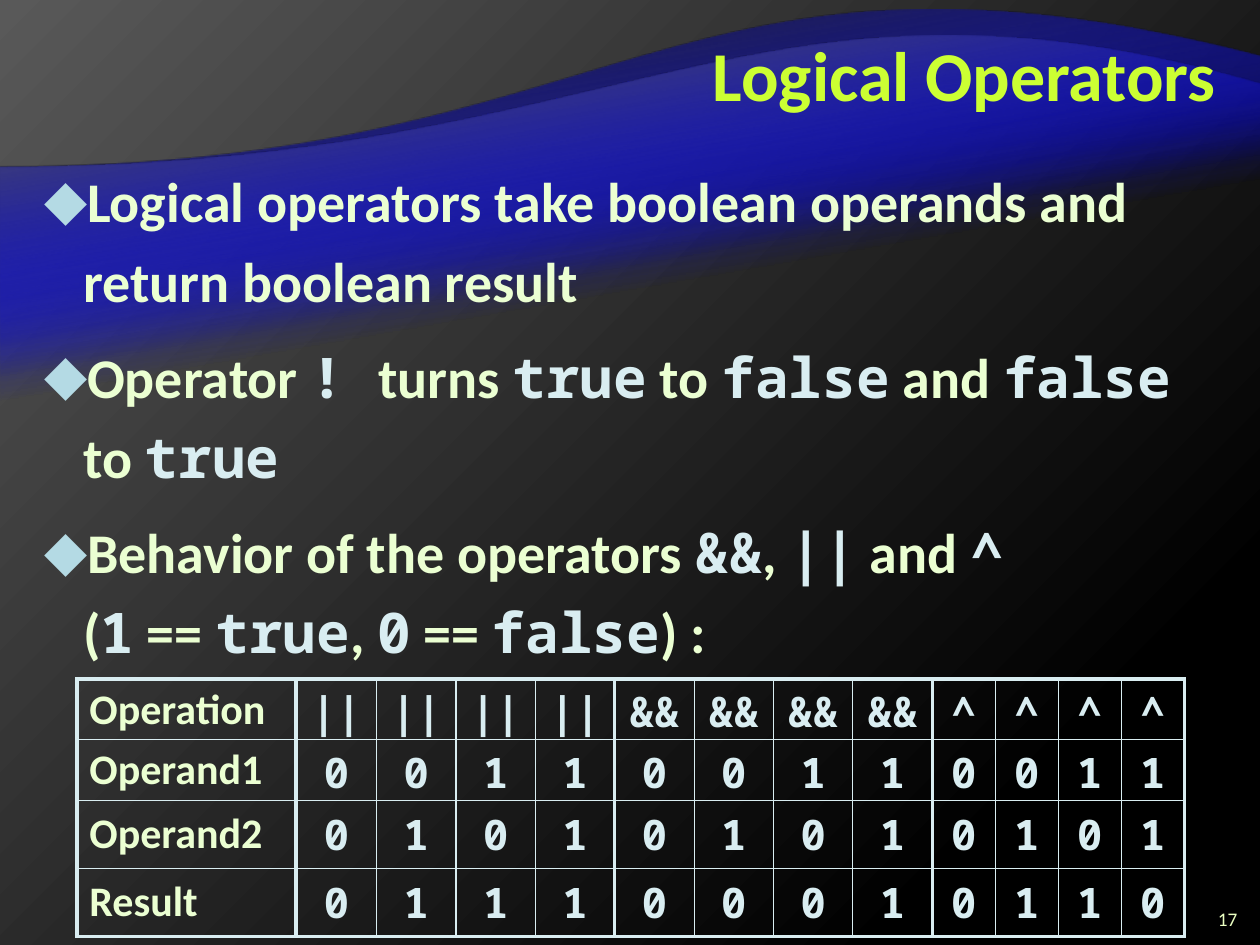
from lxml.etree import SubElement
from pptx import Presentation
from pptx.dml.color import RGBColor
from pptx.enum.text import MSO_ANCHOR as Anchor, MSO_AUTO_SIZE as AutoSize, PP_ALIGN as Align
from pptx.oxml import parse_xml
from pptx.oxml.ns import nsdecls, qn
from pptx.util import Inches, Pt

# Content: backticks enclose code, "\n" is a line break
TITLE = "Logical Operators"
BULLETS = [
    "Logical operators take boolean operands and return boolean result",
    "Operator `! `turns `true` to `false` and `false \n`to `true`",
    "Behavior of the operators `&&`, `||` and `^ \n`(`1` == `true`, `0` == `false`) :",
]
TRUTH_TABLE = [
    ("Operation", ["||"] * 4 + ["&&"] * 4 + ["^"] * 4),
    ("Operand1", "0011" * 3),
    ("Operand2", "0101" * 3),
    ("Result", "0111" + "0001" + "0110"),
]
PAGE_NUMBER = "17"

COLORS = {
    "title": "CCFF33", "text": "EBFFD2", "code": "D9EDF1", "bullet": "B4DAE4",
    "number": "EBFFC2", "border": "D9EDF1", "blue": "0000FF", "dark": "262626",
    "gray": "595959", "black": "000000",
}
TEXT_FONT, CODE_FONT = "Calibri", "Noto Sans Mono"

# Wave bands: left height, right height, bottom, two curve controls, end color
WAVE_LEFT = 1.33
BANDS = [
    (0.45, 6.53, (5, 1.33), (5.34, -0.75), "dark"),
    (0.67, 5.57, (5, 1.33), (5.98, -0.49), "gray"),
] * 2
COLUMN_WIDTHS = [1.74, 0.64] + [0.63] * 7 + [0.5] * 4
ROW_HEIGHTS = [0.4, 0.4, 0.54, 0.54]
GROUP_EDGES = {0, 1, 5, 9, 13}


def set_font(font, size, color, name=TEXT_FONT, bold=True):
    font.name, font.size, font.bold = name, Pt(size), bold
    font.color.rgb = RGBColor.from_string(COLORS[color])


def gradient(stops, direction):
    """Gradient fill from (percent, color, alpha percent) stops."""
    marks = "".join(
        f'<a:gs pos="{position * 1000}"><a:srgbClr val="{COLORS[color]}">'
        f'<a:alpha val="{alpha * 1000}"/></a:srgbClr></a:gs>'
        for position, color, alpha in stops)
    return parse_xml(f'<a:gradFill {nsdecls("a")} rotWithShape="1">'
                     f'<a:gsLst>{marks}</a:gsLst>{direction}</a:gradFill>')


def replace_solid(properties, fill):
    properties.replace(properties.find(qn("a:solidFill")), fill)


def add_band(slide, right, bottom, control_1, control_2, end_color):
    scale = 100
    corners = [(0, WAVE_LEFT), (10, right), (10, bottom)]
    builder = slide.shapes.build_freeform(0, bottom * scale, Inches(1) / scale)
    builder.add_line_segments([(x * scale, y * scale) for x, y in corners])
    shape = builder.convert_to_shape()
    shape.shadow.inherit = False
    shape.line.fill.background()
    shape.fill.solid()
    stops = [(0, "blue", 0), (65, "blue", 0), (100, end_color, 100)]
    replace_solid(shape.element.spPr, gradient(stops, '<a:lin ang="15600000" scaled="0"/>'))
    # Bend the top edge
    edge = shape.element.findall(".//" + qn("a:lnTo"))[1]
    points = "".join(
        f'<a:pt x="{round(x * scale)}" y="{round((y - right) * scale)}"/>'
        for x, y in (control_1, control_2, (10, right)))
    edge.getparent().replace(
        edge, parse_xml(f'<a:cubicBezTo {nsdecls("a")}>{points}</a:cubicBezTo>'))
    return shape


def place(shape, left, top, width, height):
    shape.left, shape.top = Inches(left), Inches(top)
    shape.width, shape.height = Inches(width), Inches(height)


def add_bullet(paragraph, text):
    set_font(paragraph.font, 32, "text")
    paragraph.line_spacing = 1.19
    paragraph.space_before = Pt(9)
    properties = paragraph._p.get_or_add_pPr()
    properties.set("marL", str(Inches(0.31)))
    properties.set("indent", str(-Inches(0.31)))
    bullet = [
        f'<a:buClr {nsdecls("a")}><a:srgbClr val="{COLORS["bullet"]}"/></a:buClr>',
        f'<a:buFont {nsdecls("a")} typeface="{TEXT_FONT}"/>',
        f'<a:buChar {nsdecls("a")} char="◆"/>',
    ]
    for offset, xml in enumerate(bullet):
        properties.insert(len(properties) - 1, parse_xml(xml))
    for index, part in enumerate(text.split("`")):
        if not part:
            continue
        run = paragraph.add_run()
        run.text = part.rstrip("\n")
        is_code = index % 2 == 1
        set_font(run.font, 32, "code" if is_code else "text",
                 CODE_FONT if is_code else TEXT_FONT)
        if part.endswith("\n"):
            paragraph.add_line_break()


def set_borders(cell, row, column):
    thick = {
        "L": column in GROUP_EDGES, "R": column + 1 in GROUP_EDGES,
        "T": row == 0, "B": row == len(TRUTH_TABLE) - 1,
    }
    properties = cell._tc.get_or_add_tcPr()
    for side, is_thick in thick.items():
        line = SubElement(properties, qn(f"a:ln{side}"), w=str(Pt(2.25 if is_thick else 0.75)))
        fill = SubElement(line, qn("a:solidFill"))
        SubElement(fill, qn("a:srgbClr"), val=COLORS["border"])


def fill_cell(cell, text, row, column):
    is_label = column == 0
    cell.text = text
    cell.vertical_anchor = Anchor.MIDDLE
    cell.margin_left = cell.margin_right = Inches(0.1 if is_label else 0.04)
    cell.margin_top = cell.margin_bottom = Inches(0.05 if is_label else 0.04)
    paragraph = cell.text_frame.paragraphs[0]
    paragraph.alignment = Align.LEFT if is_label else Align.CENTER
    paragraph.line_spacing = 0.95
    for font in (paragraph.font, paragraph.runs[0].font):
        set_font(font, 24, "text" if is_label else "code",
                 TEXT_FONT if is_label else CODE_FONT)
    set_borders(cell, row, column)
    cell.fill.background()


def main():
    presentation = Presentation()
    presentation.slide_width, presentation.slide_height = Inches(10), Inches(7.5)
    slide = presentation.slides.add_slide(presentation.slide_layouts[1])

    # Background, with the wave bands behind everything else
    slide.background.fill.solid()
    replace_solid(
        slide.element.find(".//" + qn("p:bgPr")),
        gradient([(0, "gray", 100), (83, "black", 100), (100, "black", 100)],
                 '<a:path path="circle"><a:fillToRect r="100000" b="100000"/></a:path>'))
    for index, band in enumerate(BANDS):
        shape = add_band(slide, *band)
        slide.shapes._spTree.insert(2 + index, shape.element)

    # Title
    title = slide.shapes.title
    place(title, 2, 0.08, 7.75, 1)
    title.text_frame.text = TITLE
    title.text_frame.auto_size = AutoSize.NONE
    title.text_frame.vertical_anchor = Anchor.MIDDLE
    paragraph = title.text_frame.paragraphs[0]
    paragraph.alignment = Align.RIGHT
    set_font(paragraph.font, 40, "title")

    # Bullet list
    body = slide.placeholders[1]
    place(body, 0.25, 1.17, 9.5, 6.17)
    frame = body.text_frame
    frame.auto_size = AutoSize.NONE
    for index, text in enumerate(BULLETS):
        add_bullet(frame.add_paragraph() if index else frame.paragraphs[0], text)
    frame.paragraphs[0].space_before = Pt(0)

    # Page number
    number = slide.shapes.add_textbox(Inches(9.42), Inches(7.17), Inches(0.5), Inches(0.25))
    number.text_frame.word_wrap = True
    number.text_frame.vertical_anchor = Anchor.MIDDLE
    paragraph = number.text_frame.paragraphs[0]
    paragraph.text, paragraph.alignment = PAGE_NUMBER, Align.RIGHT
    set_font(paragraph.font, 11, "number", bold=False)

    # Truth table
    table = slide.shapes.add_table(
        len(ROW_HEIGHTS), len(COLUMN_WIDTHS), Inches(0.61), Inches(5.39),
        Inches(sum(COLUMN_WIDTHS)), Inches(sum(ROW_HEIGHTS))).table
    table.first_row = table.horz_banding = False
    for column, width in zip(table.columns, COLUMN_WIDTHS):
        column.width = Inches(width)
    for row, (label, values) in enumerate(TRUTH_TABLE):
        table.rows[row].height = Inches(ROW_HEIGHTS[row])
        for column, text in enumerate([label, *values]):
            fill_cell(table.cell(row, column), text, row, column)

    presentation.save("out.pptx")


if __name__ == "__main__":
    main()
